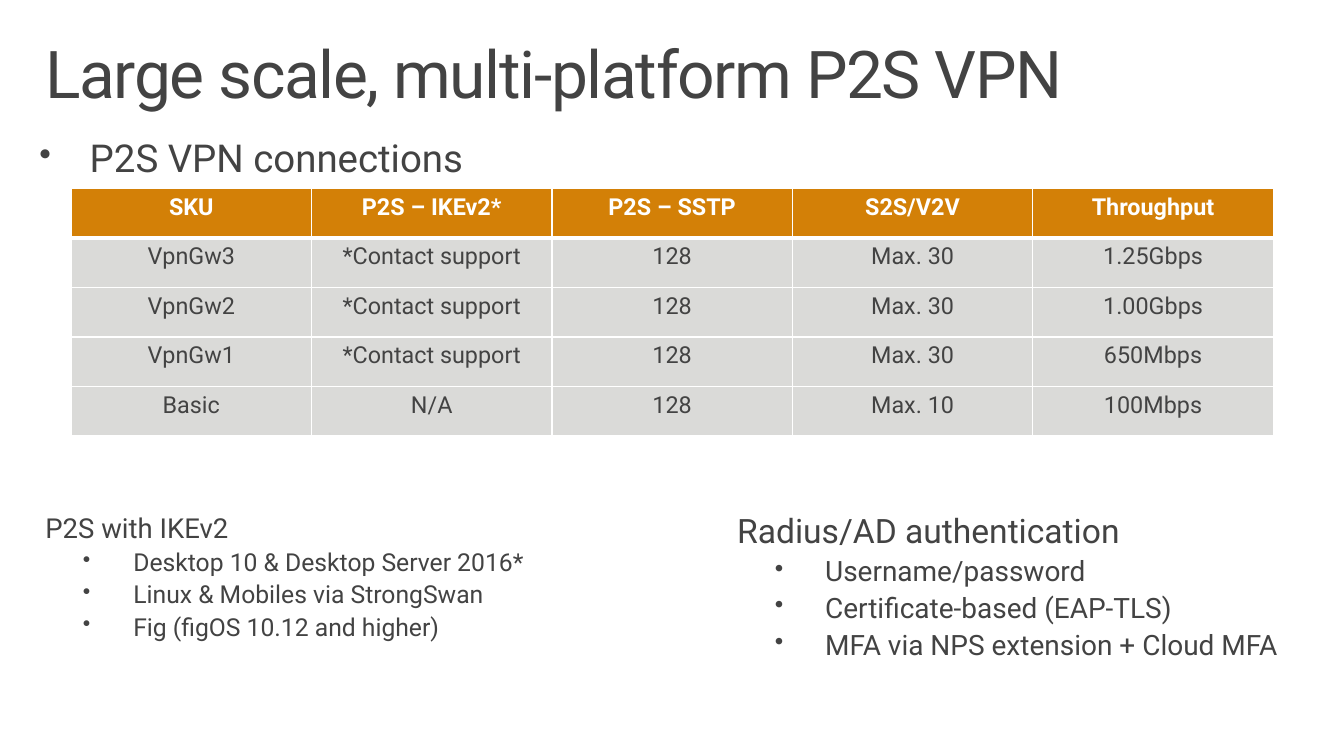
from lxml.etree import SubElement
from pptx import Presentation
from pptx.dml.color import RGBColor
from pptx.enum.text import MSO_AUTO_SIZE as AutoSize, PP_ALIGN as Align
from pptx.oxml import parse_xml
from pptx.oxml.ns import nsdecls, qn
from pptx.util import Pt

COLORS = {"text": "434343", "white": "FFFFFF", "header": "D38007", "row": "DADAD8"}
FONT = "Roboto"
BULLET_INDENT = Pt(36.7)
COLUMN_WIDTH, ROW_HEIGHT = Pt(175.2), Pt(36)

GATEWAYS = [
    ["SKU", "P2S – IKEv2*", "P2S – SSTP", "S2S/V2V", "Throughput"],
    ["VpnGw3", "*Contact support", "128", "Max. 30", "1.25Gbps"],
    ["VpnGw2", "*Contact support", "128", "Max. 30", "1.00Gbps"],
    ["VpnGw1", "*Contact support", "128", "Max. 30", "650Mbps"],
    ["Basic", "N/A", "128", "Max. 10", "100Mbps"],
]
CLIENTS = [
    "Desktop 10 & Desktop Server 2016*",
    "Linux & Mobiles via StrongSwan",
    "Fig (figOS 10.12 and higher)",
]
AUTHENTICATION = [
    "Username/password",
    "Certificate-based (EAP-TLS)",
    "MFA via NPS extension + Cloud MFA",
]


def apply_format(target, values):
    for name, value in values.items():
        setattr(target, name, value)


def format_font(font, size, color="text", bold=False):
    apply_format(font, {"name": FONT, "size": Pt(size), "bold": bold})
    font.color.rgb = RGBColor.from_string(COLORS[color])


def add_text_box(slide, left, top, width, height, inset_x=11.5, inset_y=7.2):
    shape = slide.shapes.add_textbox(Pt(left), Pt(top), Pt(width), Pt(height))
    frame = shape.text_frame
    apply_format(frame, {
        "word_wrap": True, "auto_size": AutoSize.NONE,
        "margin_left": Pt(inset_x), "margin_right": Pt(inset_x),
        "margin_top": Pt(inset_y), "margin_bottom": Pt(inset_y),
    })
    return frame


def write_paragraph(paragraph, text, size, **spacing):
    run = paragraph.add_run()
    run.text = text
    format_font(run.font, size)
    apply_format(paragraph, spacing)
    return run


def add_bullet(paragraph, left_margin):
    properties = paragraph._p.get_or_add_pPr()
    properties.set("marL", str(left_margin))
    properties.set("indent", str(-BULLET_INDENT))
    SubElement(properties, qn("a:buSzPct")).set("val", "90000")
    SubElement(properties, qn("a:buChar")).set("char", "•")


def add_topic(slide, left, height, heading, heading_size, items, item_size):
    frame = add_text_box(slide, left, 367.9, 432, height)
    write_paragraph(frame.paragraphs[0], heading, heading_size, line_spacing=0.9)
    for item in items:
        paragraph = frame.add_paragraph()
        add_bullet(paragraph, Pt(64.1))
        write_paragraph(paragraph, item, item_size, level=1, line_spacing=0.9,
                        space_before=Pt(round(item_size * 0.23, 1)))


def set_borders(cell, widths):
    properties = cell._tc.get_or_add_tcPr()
    for index, (side, width) in enumerate(widths.items()):
        properties.insert(index, parse_xml(
            f'<a:ln{side} {nsdecls("a")} w="{Pt(width)}"><a:solidFill>'
            f'<a:srgbClr val="{COLORS["white"]}"/></a:solidFill></a:ln{side}>'))


def add_gateway_table(slide, left, top):
    rows, columns = len(GATEWAYS), len(GATEWAYS[0])
    table = slide.shapes.add_table(rows, columns, Pt(left), Pt(top),
                                   COLUMN_WIDTH * columns, ROW_HEIGHT * rows).table
    for row, values in enumerate(GATEWAYS):
        header = row == 0
        for column, value in enumerate(values):
            cell = table.cell(row, column)
            cell.text = value
            paragraph = cell.text_frame.paragraphs[0]
            paragraph.alignment = Align.CENTER
            format_font(paragraph.runs[0].font, 17, "white" if header else "text", header)
            cell.fill.solid()
            cell.fill.fore_color.rgb = RGBColor.from_string(
                COLORS["header" if header else "row"])
            # The rule under the header is thicker than the others
            set_borders(cell, {"L": 1, "R": 1, "T": 3 if row == 1 else 1,
                               "B": 3 if header else 1})


def main():
    presentation = Presentation()
    apply_format(presentation, {"slide_width": Pt(979.2), "slide_height": Pt(550.8)})
    slide = presentation.slides.add_slide(presentation.slide_layouts[6])

    # Title
    frame = add_text_box(slide, 21.6, 23, 936, 72)
    title = write_paragraph(frame.paragraphs[0], "Large scale, multi-platform P2S VPN",
                            48, line_spacing=0.9, space_after=Pt(3.4))
    title._r.get_or_add_rPr().set("spc", "-100")

    # Connections heading and table
    frame = add_text_box(slide, 21.6, 96.5, 936, 271.4, 7.2, 3.6)
    add_bullet(frame.paragraphs[0], BULLET_INDENT)
    write_paragraph(frame.paragraphs[0], "P2S VPN connections", 28,
                    line_spacing=0.95, space_after=Pt(12))
    add_gateway_table(slide, 51.8, 137.5)

    # Topics below the table
    add_topic(slide, 21.6, 108.7, "P2S with IKEv2", 20, CLIENTS, 18)
    add_topic(slide, 525.6, 123.1, "Radius/AD authentication", 24.5, AUTHENTICATION, 20.4)

    presentation.save("out.pptx")


if __name__ == "__main__":
    main()
